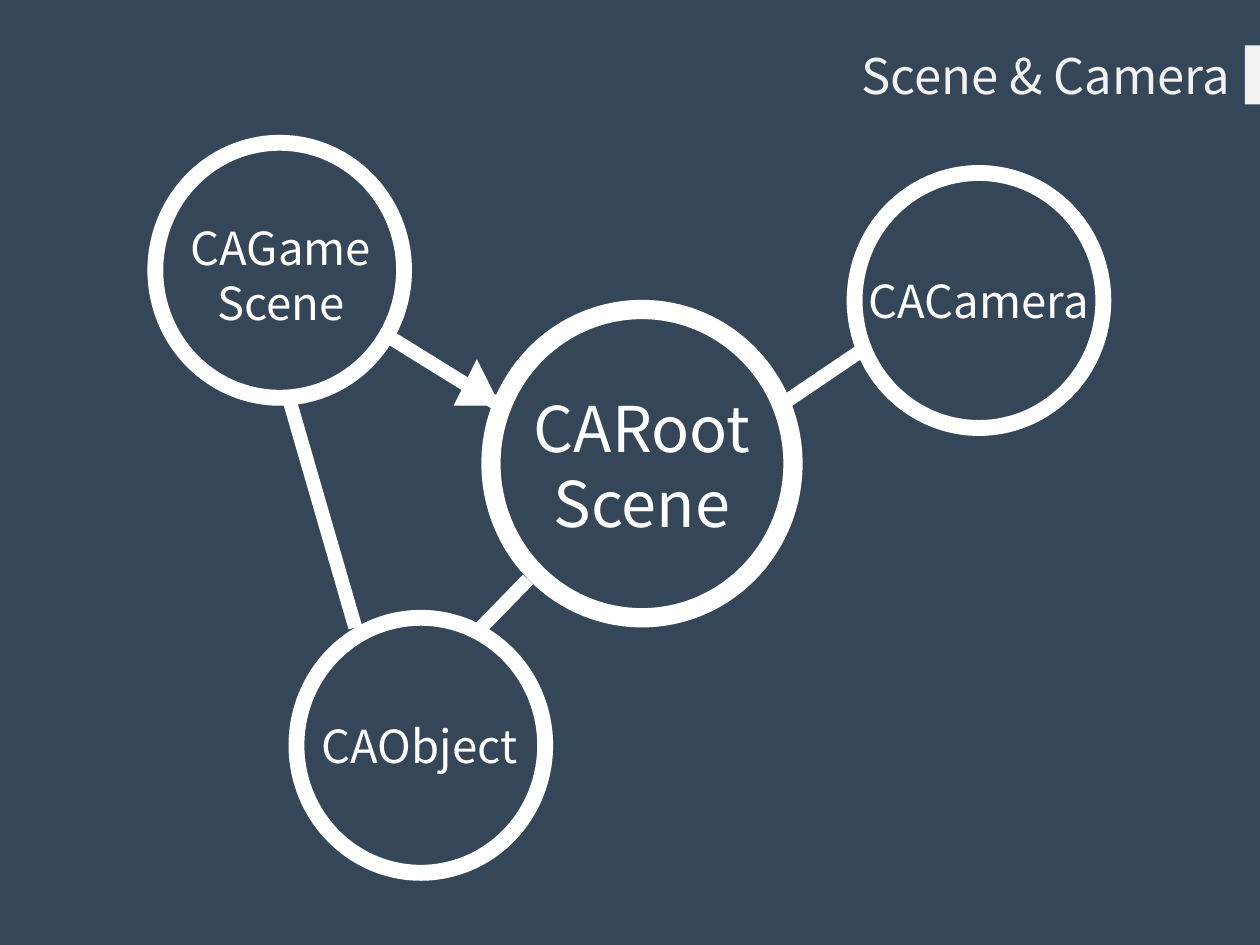
from pptx import Presentation, util as u
from pptx.dml.color import RGBColor
from pptx.enum import shapes, text
from pptx.oxml import parse_xml
from pptx.oxml.ns import nsdecls

PX = 9144  # 100 px to the inch
FONT = "Noto Sans CJK KR"
WHITE, PALE, NAVY = "FFFFFF", "F2F2F2", "364659"


def write(box, words, size, color=WHITE, align="CENTER", wrap=True):
    frame = box.text_frame
    frame.text = words
    frame.word_wrap = wrap
    frame.auto_size = text.MSO_AUTO_SIZE.NONE
    frame.vertical_anchor = text.MSO_ANCHOR.TOP
    for para in frame.paragraphs:
        para.alignment = getattr(text.PP_ALIGN, align)
        font = para.runs[0].font
        font.name, font.size = FONT, u.Pt(size)
        font.color.rgb = RGBColor.from_string(color)


def draw(kind, place, color=WHITE):
    """Add a borderless preset shape in one colour."""
    shape = slide.shapes.add_shape(kind, *[v * PX for v in place])
    shape.shadow.inherit = False
    shape.fill.solid()
    shape.fill.fore_color.rgb = RGBColor.from_string(color)
    shape.line.fill.background()
    return shape


deck = Presentation()
deck.slide_width, deck.slide_height = 1000 * PX, 750 * PX
slide = deck.slides.add_slide(deck.slide_layouts[5])
slide.background.fill.solid()
slide.background.fill.fore_color.rgb = RGBColor.from_string(NAVY)

title = slide.shapes.title
title.left, title.top, title.width, title.height = [v * PX for v in (643, 31, 343, 57)]
write(title, "Scene & Camera", 28, color=PALE, align="RIGHT", wrap=False)
draw(shapes.MSO_SHAPE.RECTANGLE, (988, 36, 12, 47), PALE)

# Words, text size, ring place, label place
nodes = [
    ("CARoot\nScene", 36, (382, 238, 255, 260), (400, 304, 219, 128)),
    ("CACamera", 26, (672, 131, 210, 215), (670, 212, 214, 53)),
    ("CAGame\nScene", 26, (117, 107, 210, 215), (116, 170, 214, 95)),
    ("CAObject", 26, (229, 484, 210, 215), (226, 565, 214, 53)),
]
for words, size, ring, label in nodes:
    draw(shapes.MSO_SHAPE.DONUT, ring).adjustments[0] = 0.06
    write(slide.shapes.add_textbox(*[v * PX for v in label]), words, size)

links = [
    (619, 322, 687, 276),  # root to camera
    (305, 265, 397, 322),  # game to root
    (419, 460, 382, 498),  # root to object
    (229, 315, 282, 498),  # game to object
]
for ends in links:
    link = slide.shapes.add_connector(shapes.MSO_CONNECTOR.STRAIGHT, *[v * PX for v in ends])
    link.line.color.rgb = RGBColor.from_string(WHITE)
    link.line.width = u.Pt(8)
    link._element.spPr.append(parse_xml(f"<a:effectLst {nsdecls('a')}/>"))

draw(shapes.MSO_SHAPE.ISOSCELES_TRIANGLE, (360, 285, 37, 37))

deck.save("out.pptx")
